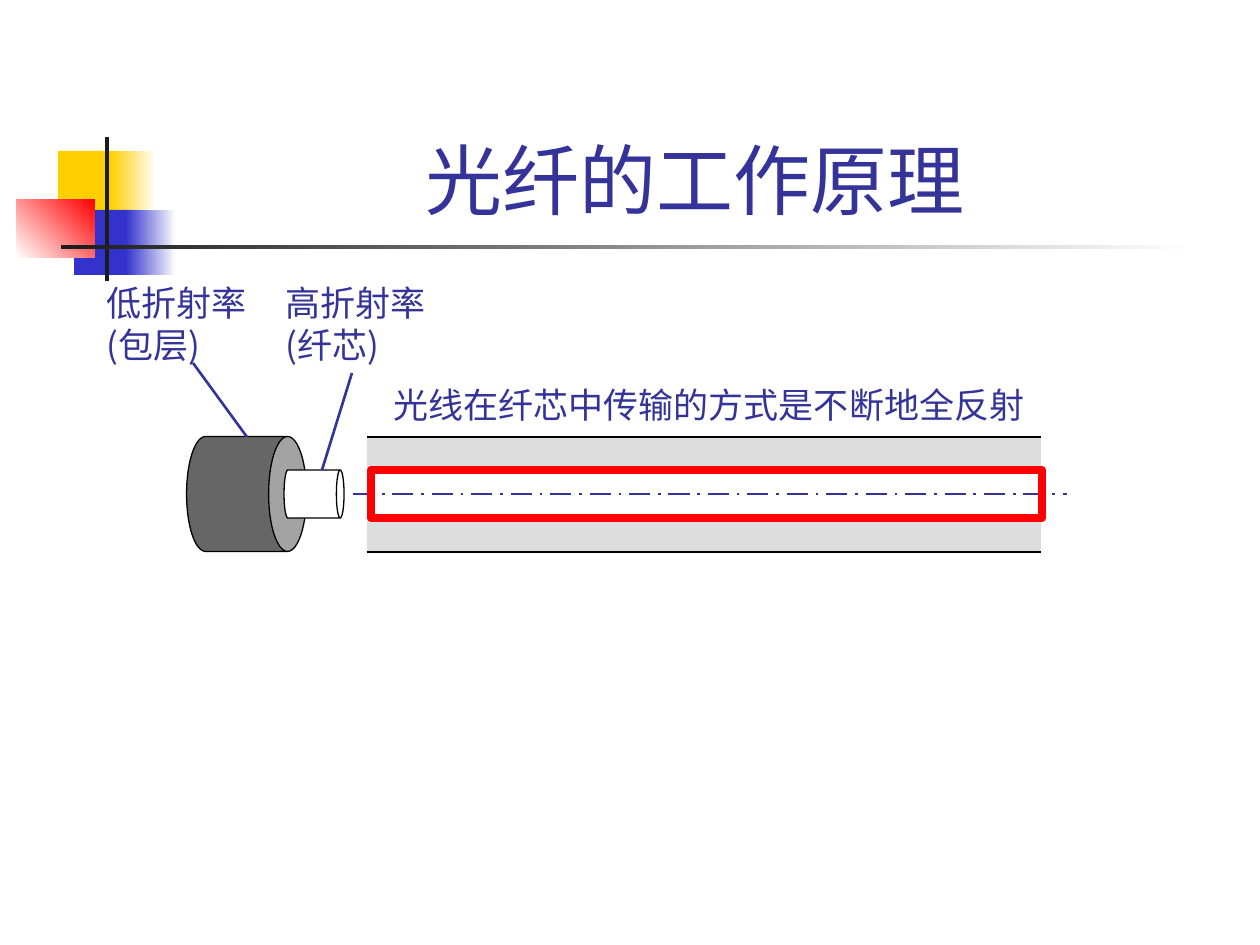
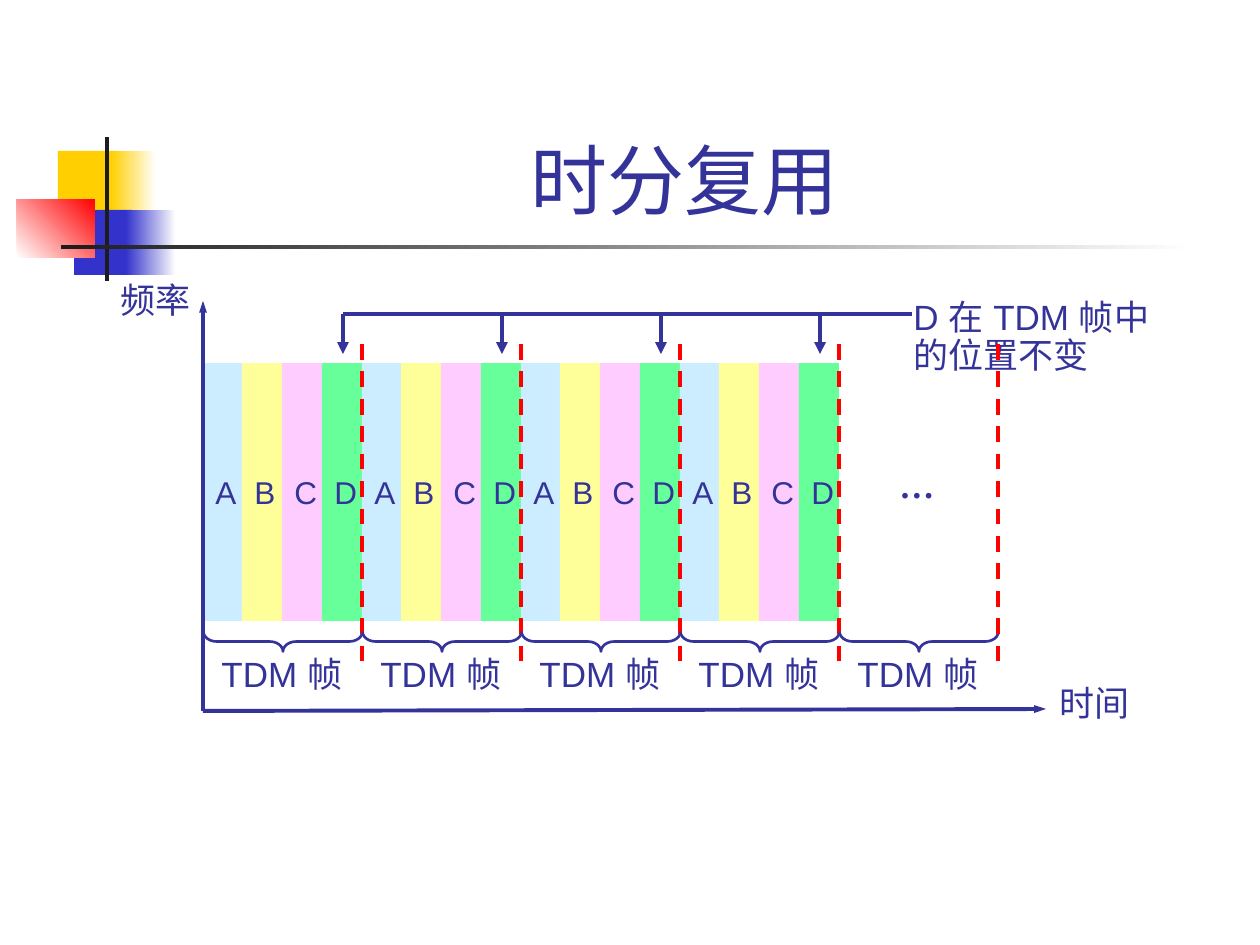
from lxml import etree
from pptx import Presentation
from pptx.dml.color import RGBColor
from pptx.enum.dml import MSO_LINE
from pptx.enum.shapes import MSO_CONNECTOR, MSO_SHAPE
from pptx.enum.text import MSO_ANCHOR, PP_ALIGN
from pptx.oxml.ns import qn
from pptx.util import Pt

SCALE = 914400 / 126
NAVY = RGBColor(0x33, 0x33, 0x99)
BLUE = RGBColor(0x33, 0x33, 0xCC)
GOLD = RGBColor(0xFF, 0xCF, 0x01)
RED = RGBColor(0xFF, 0x00, 0x00)
INK = RGBColor(0x1C, 0x1C, 0x1C)
BLACK = RGBColor(0x00, 0x00, 0x00)
WHITE = RGBColor(0xFF, 0xFF, 0xFF)
DARK = RGBColor(0x66, 0x66, 0x66)
PALE = RGBColor(0xDD, 0xDD, 0xDD)
SLOTS = {
    "A": RGBColor(0xCC, 0xEC, 0xFF),
    "B": RGBColor(0xFF, 0xFF, 0x99),
    "C": RGBColor(0xFF, 0xCC, 0xFF),
    "D": RGBColor(0x66, 0xFF, 0x99),
}
ARIAL = "Arial"
SERIF = "Times New Roman"
HAN = "Noto Sans CJK SC"


def px(*sizes):
    """Turn px lengths into EMU."""
    return [round(size * SCALE) for size in sizes]


def add_shape(slide, box, fill=None, edge=None, width=0.75, kind=MSO_SHAPE.RECTANGLE):
    shape = slide.shapes.add_shape(kind, *px(*box))
    shape.shadow.inherit = False
    if fill is None:
        shape.fill.background()
    else:
        shape.fill.solid()
        shape.fill.fore_color.rgb = fill
    if edge is None:
        shape.line.fill.background()
    else:
        shape.line.color.rgb = edge
        shape.line.width = Pt(width)
    return shape


def add_fade(slide, box, start, end, angle=0):
    """Rectangle with a two-colour gradient."""
    fill = add_shape(slide, box).fill
    fill.gradient()
    fill.gradient_angle = angle
    for stop, color in zip(fill.gradient_stops, (start, end)):
        stop.color.rgb = color


def add_line(slide, start, end, color=NAVY, width=1.5, dash=None, head=None):
    """Straight line; head is the width of its arrowhead, such as sm or med."""
    line = slide.shapes.add_connector(MSO_CONNECTOR.STRAIGHT, *px(*start, *end))
    line.line.color.rgb = color
    line.line.width = Pt(width)
    if dash:
        line.line.dash_style = dash
    props = line.element.spPr
    if head:
        etree.SubElement(props.find(qn("a:ln")), qn("a:tailEnd"), type="triangle", w=head)
    etree.SubElement(props, qn("a:effectLst"))


def write(frame, rows, size, face, bold=False, space=None, align=PP_ALIGN.LEFT):
    """Fill a text frame, one paragraph for each row; Chinese stays sans serif."""
    east = ARIAL if face == SERIF else face
    for num, row in enumerate(rows):
        para = frame.add_paragraph() if num else frame.paragraphs[0]
        para.alignment = align
        if space:
            para.line_spacing = space
        run = para.add_run()
        run.text = row
        font = run.font
        font.size = Pt(size)
        font.bold = bold
        font.color.rgb = NAVY
        font.name = face
        etree.SubElement(run.font._element, qn("a:ea"), typeface=east)


def add_text(slide, box, *rows, size=20, face=ARIAL, bold=False, space=None):
    frame = slide.shapes.add_textbox(*px(*box)).text_frame
    frame.word_wrap = False
    write(frame, rows, size, face, bold, space)


def add_slide(deck, title):
    """Blank slide with the corner blocks, the rule and a title."""
    slide = deck.slides.add_slide(deck.slide_layouts[6])
    add_shape(slide, (58, 151, 60, 66), GOLD)
    add_fade(slide, (111, 151, 45, 66), GOLD, WHITE)
    add_shape(slide, (74, 210, 58, 65), BLUE)
    add_fade(slide, (126, 210, 50, 65), BLUE, WHITE)
    add_fade(slide, (17, 199, 78, 59), WHITE, RED, 45)
    add_shape(slide, (105, 137, 4, 144), INK)
    add_fade(slide, (61, 245, 1134, 4), INK, WHITE)
    frame = slide.shapes.add_textbox(*px(159, 29, 1073, 202)).text_frame
    frame.word_wrap = True
    frame.vertical_anchor = MSO_ANCHOR.BOTTOM
    write(frame, [title], 44, ARIAL, align=PP_ALIGN.CENTER)
    return slide


def add_can(slide, box, fill, depth):
    can = add_shape(slide, box, fill, BLACK, kind=MSO_SHAPE.CAN)
    can.rotation = 90
    can.adjustments[0] = depth


def draw_fiber(deck):
    slide = add_slide(deck, "光纤的工作原理")
    left, right = 367, 1041
    edges = (437, 471, 518, 552)
    for top, low, fill in zip(edges, edges[1:], (PALE, WHITE, PALE)):
        add_shape(slide, (left, top, right - left, low - top), fill)
    add_can(slide, (189, 434, 115, 120), DARK, 0.33)
    add_can(slide, (290, 464, 48, 60), WHITE, 0.16)
    for y in edges:
        add_line(slide, (left, y), (right, y), BLACK, 0.75)
    add_line(slide, (353, 494), (1067, 494), dash=MSO_LINE.LONG_DASH_DOT)
    add_text(slide, (273, 275, 175, 97), "高折射率", "(纤芯)", face=HAN)
    add_text(slide, (94, 275, 175, 97), "低折射率", "(包层)", face=HAN)
    add_line(slide, (352, 373), (322, 470))
    add_line(slide, (193, 363), (247, 437))
    add_text(slide, (381, 377, 668, 55), "光线在纤芯中传输的方式是不断地全反射", face=HAN)
    add_shape(slide, (371, 470, 671, 48), edge=RED, width=4.5)


def draw_frames(deck):
    slide = add_slide(deck, "时分复用 ")
    left, step, count = 203, 159, 5
    starts = [left + step * num for num in range(count)]
    add_line(slide, (left, 711), (1046, 709), width=2.25, head="sm")
    add_text(slide, (108, 277, 104, 50), "频率", face=SERIF, space=0.9)
    add_text(slide, (1047, 680, 104, 50), "时间", face=SERIF, space=0.9)
    for start in starts[:-1]:
        for num, (name, fill) in enumerate(SLOTS.items()):
            slot = add_shape(slide, (start + step * num // 4, 363, 40, 258), fill)
            frame = slot.text_frame
            frame.word_wrap = False
            frame.vertical_anchor = MSO_ANCHOR.MIDDLE
            write(frame, [name], 18, ARIAL)
        add_line(slide, (start + 140, 314), (start + 140, 354), width=2.25, head="med")
    add_text(slide, (901, 294, 298, 88), "D 在 TDM 帧中", "的位置不变", space=0.9)
    add_line(slide, (343, 314), (912, 314), width=2.25)
    add_text(slide, (887, 457, 60, 54), "…", face=SERIF, bold=True)
    add_line(slide, (left, 711), (left, 301), width=2.25, head="sm")
    for start in starts:
        add_text(slide, (start + 6, 651, 160, 50), "TDM 帧", space=0.9)
        brace = add_shape(slide, (start + 70, 562, 20, step), edge=NAVY, width=1.5,
                          kind=MSO_SHAPE.LEFT_BRACE)
        brace.rotation = 270
        brace.adjustments[0] = 0.66
        end = start + step
        add_line(slide, (end, 344), (end, 670), RED, 2.25, MSO_LINE.DASH)


def main():
    deck = Presentation()
    deck.slide_width, deck.slide_height = px(1260, 945)
    draw_fiber(deck)
    draw_frames(deck)
    deck.save("out.pptx")


if __name__ == "__main__":
    main()
